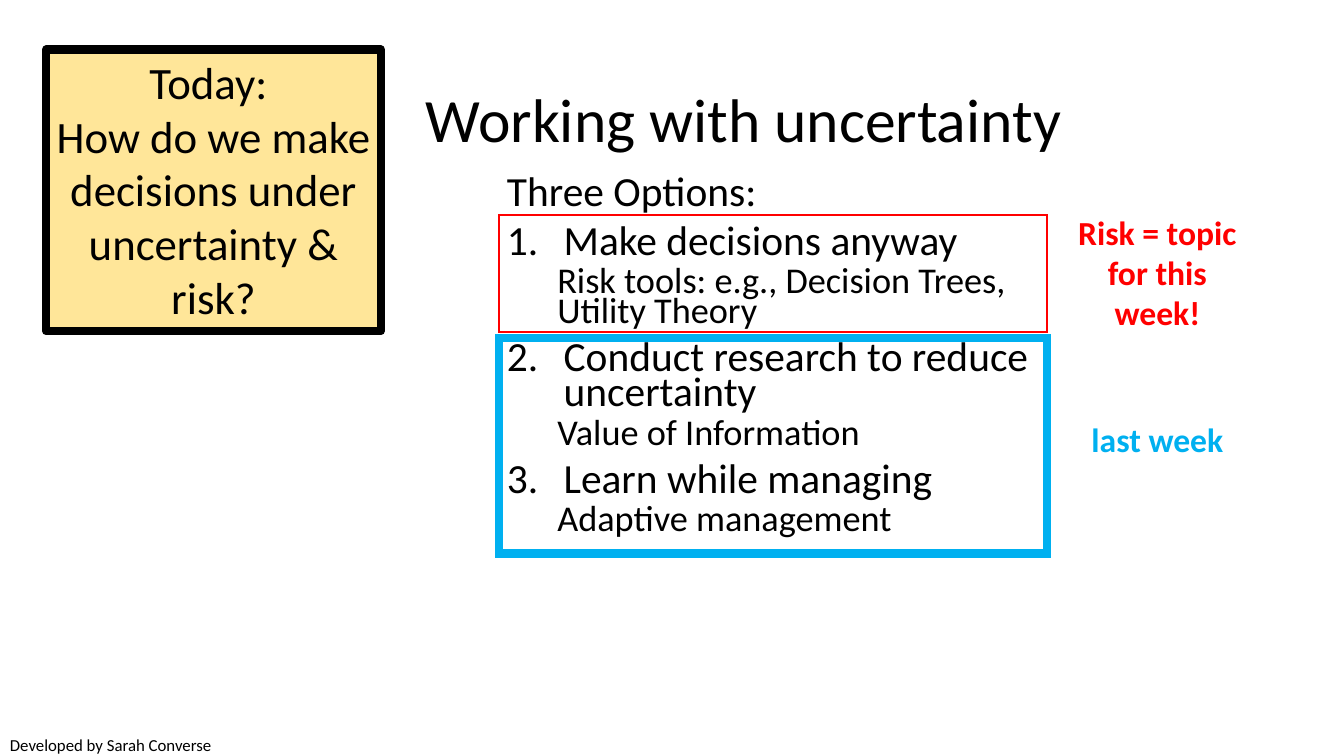
from lxml.etree import SubElement
from pptx import Presentation
from pptx.dml.color import RGBColor
from pptx.enum.shapes import MSO_SHAPE as Shape
from pptx.enum.text import MSO_ANCHOR as Anchor, MSO_AUTO_SIZE as AutoSize, PP_ALIGN as Align
from pptx.oxml.ns import qn
from pptx.util import Pt

FONT = "Calibri"
BLACK, YELLOW, RED, BLUE = "000000", "FFE699", "FF0000", "00B0F0"
OPTIONS = [
    ("Make decisions anyway", "Risk tools: e.g., Decision Trees, Utility Theory"),
    ("Conduct research to reduce uncertainty", "Value of Information"),
    ("Learn while managing", "Adaptive management"),
]


def rgb(hex_colour):
    """Turn a hex string into a colour."""
    return RGBColor.from_string(hex_colour)


def points(*lengths):
    """Turn numbers into lengths in points."""
    return [Pt(length) for length in lengths]


def style(paragraph, size, colour=BLACK, bold=False, align=Align.LEFT):
    """Set the font and alignment of a paragraph."""
    paragraph.alignment = align
    font = paragraph.font
    font.name, font.size, font.bold = FONT, Pt(size), bold
    font.color.rgb = rgb(colour)


def fill_frame(frame, lines, size, colour=BLACK, bold=False, align=Align.CENTER):
    """Write lines of one style into a growing text frame."""
    frame.word_wrap = True
    frame.auto_size = AutoSize.SHAPE_TO_FIT_TEXT
    frame.vertical_anchor = Anchor.TOP
    frame.text = "\n".join(lines)
    for paragraph in frame.paragraphs:
        style(paragraph, size, colour, bold, align)


def add_frame(slide, place, colour, width, fill=None):
    """Add an outlined rectangle, hollow unless a fill is given."""
    frame = slide.shapes.add_shape(Shape.RECTANGLE, *points(*place))
    frame.shadow.inherit = False
    frame.line.color.rgb = rgb(colour)
    frame.line.width = Pt(width)
    if fill:
        frame.fill.solid()
        frame.fill.fore_color.rgb = rgb(fill)
    else:
        frame.fill.background()
        outline = frame.line._get_or_add_ln()
        SubElement(outline, qn("a:miter"), lim="800000")
    return frame


def add_label(slide, place, text, size, colour=BLACK, bold=False, align=Align.CENTER):
    """Add a one-paragraph text box."""
    label = slide.shapes.add_textbox(*points(*place))
    fill_frame(label.text_frame, [text], size, colour, bold, align)


def set_title(slide, place, text):
    """Place and format the title placeholder."""
    title = slide.shapes.title
    title.left, title.top, title.width, title.height = points(*place)
    title.text_frame.text = text
    title.text_frame.vertical_anchor = Anchor.MIDDLE
    heading = title.text_frame.paragraphs[0]
    heading.line_spacing = 0.9
    style(heading, 44)


def add_option_line(frame, text, size, before, margin, numbered=False):
    """Append a numbered option or its indented detail."""
    line = frame.add_paragraph()
    line.text = text
    line.level = 0 if numbered else 1
    line.line_spacing, line.space_before = 0.7, Pt(before)
    properties = line._p.get_or_add_pPr()
    properties.set("marL", str(Pt(margin)))
    properties.set("indent", str(Pt(-margin if numbered else 0)))
    if numbered:
        SubElement(properties, qn("a:buFont"), typeface="+mj-lt")
        SubElement(properties, qn("a:buAutoNum"), type="arabicPeriod")
    else:
        SubElement(properties, qn("a:buNone"))
    style(line, size)


def add_options(slide, place, heading, options):
    """Add the heading and the numbered options with their details."""
    frame = slide.shapes.add_textbox(*points(*place)).text_frame
    frame.word_wrap = True
    frame.text = heading
    frame.paragraphs[0].line_spacing = 0.7
    style(frame.paragraphs[0], 29.6)
    for option, detail in options:
        add_option_line(frame, option, 29.6, 10, 40.5, numbered=True)
        add_option_line(frame, detail, 25.9, 5, 36)


def main():
    """Build the slide and save it."""
    deck = Presentation()
    deck.slide_width, deck.slide_height = points(960, 540)
    slide = deck.slides.add_slide(deck.slide_layouts[5])

    today = add_frame(slide, (33, 35.5, 239, 201), BLACK, 6, YELLOW)
    question = "How do we make decisions under uncertainty & risk?"
    fill_frame(today.text_frame, ["Today: ", question], 32)
    set_title(slide, (297, 35.5, 556.5, 104.5), "Working with uncertainty")
    add_options(slide, (355, 124, 422.5, 295), "Three Options:", OPTIONS)

    add_frame(slide, (356.5, 153.5, 391.5, 83.5), RED, 1.5)
    add_label(slide, (759, 147.5, 135.5, 94.5), "Risk = topic for this week!", 24, RED, True)
    add_frame(slide, (356.5, 241.5, 391.5, 154), BLUE, 6)
    add_label(slide, (759, 296, 135.5, 36), "last week", 24, BLUE, True)
    add_label(slide, (0, 521.5, 480, 21.5), "Developed by Sarah Converse", 12, align=Align.LEFT)
    deck.save("out.pptx")


if __name__ == "__main__":
    main()
